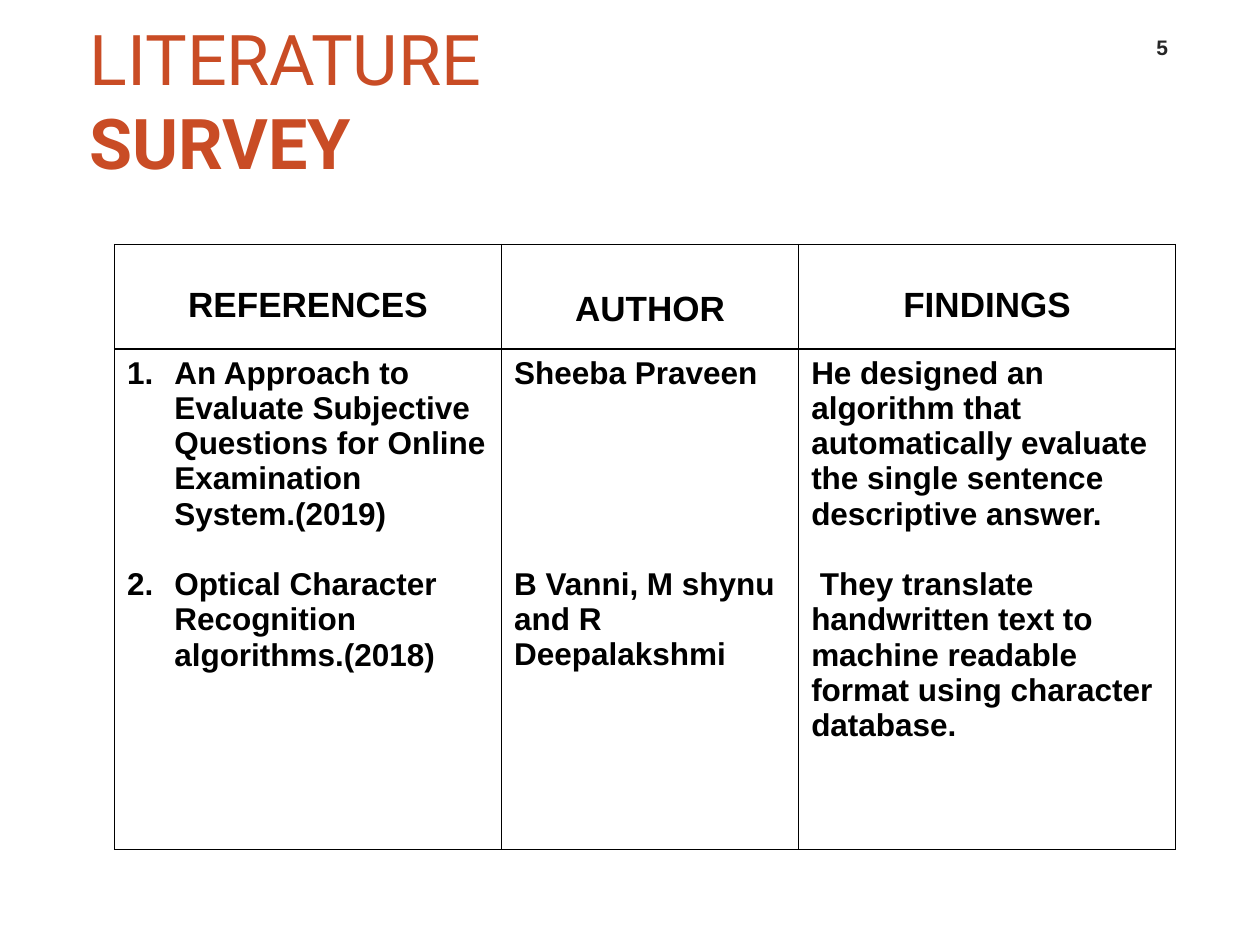
from lxml.etree import SubElement
from pptx import Presentation
from pptx.dml.color import RGBColor as RGB
from pptx.enum.text import MSO_ANCHOR as Anchor, PP_ALIGN as Align
from pptx.oxml.ns import qn
from pptx.util import Cm, Pt

# Content: each body cell holds one entry per surveyed paper
TITLE = [("LITERATURE", False), (" SURVEY", True)]
PAGE = "5"
HEADERS = ["REFERENCES", "AUTHOR", "FINDINGS"]
BODY = [
    ["An Approach to Evaluate Subjective Questions for Online Examination System.(2019)",
     "Optical Character Recognition algorithms.(2018)"],
    ["Sheeba Praveen", "B Vanni, M shynu and R Deepalakshmi"],
    ["He designed an algorithm that automatically evaluate the single sentence descriptive answer.",
     " They translate handwritten text to machine readable format using character database."],
]


class Theme:
    accent, ink, grey, paper = (RGB.from_string(c) for c in ("C94C25", "000000", "262626", "FFFFFF"))
    title_font, font = "Roboto", "Arial"
    title, header, body, page = 40, 20, 18, 12
    line = 20.1  # height of one body line, points
    border = 1


# Layout
COL_WIDTHS = [Cm(7.8), Cm(5.99), Cm(7.6)]
ROW_HEIGHTS = [Cm(2.11), Cm(10.08)]
HEADER_TOPS = [Cm(0.84), Cm(0.91), Cm(0.84)]
GAP_LINES = [1, 5, 1]  # lines left open between the two papers
INDENT = Cm(0.95)


def add_text(p, text, size=Theme.body, font=Theme.font, color=Theme.ink,
             bold=True, align=Align.LEFT, before=0):
    p.alignment = align
    p.space_before = Pt(before)
    r = p.add_run()
    r.text = text
    r.font.size, r.font.name, r.font.bold = Pt(size), font, bold
    r.font.color.rgb = color


def add_box(slide, left, top, width, height, anchor):
    tf = slide.shapes.add_textbox(Cm(left), Cm(top), Cm(width), Cm(height)).text_frame
    tf.word_wrap = True
    tf.vertical_anchor = anchor
    return tf


def number(p):
    pPr = p._p.get_or_add_pPr()
    pPr.set("marL", str(INDENT))
    pPr.set("indent", str(-INDENT))
    SubElement(pPr, qn("a:buFont"), typeface="+mj-lt")
    SubElement(pPr, qn("a:buAutoNum"), type="arabicPeriod")


def style_cell(cell):
    tcPr = cell._tc.get_or_add_tcPr()
    for side in "LRTB":
        ln = SubElement(tcPr, qn(f"a:ln{side}"), w=str(Pt(Theme.border)))
        fill = SubElement(ln, qn("a:solidFill"))
        SubElement(fill, qn("a:srgbClr"), val=str(Theme.ink))
    cell.fill.solid()
    cell.fill.fore_color.rgb = Theme.paper


prs = Presentation()
prs.slide_width, prs.slide_height = Cm(25.4), Cm(19.05)
s = prs.slides.add_slide(prs.slide_layouts[6])

# Title
tf = add_box(s, 1.3, 1.07, 13.61, 1.88, Anchor.MIDDLE)
tf.margin_left = tf.margin_right = 0
p = tf.paragraphs[0]
p._p.get_or_add_pPr().set("marL", str(Cm(0.51)))
for text, bold in TITLE:
    add_text(p, text, size=Theme.title, font=Theme.title_font, color=Theme.accent, bold=bold)

# Page number
tf = add_box(s, 22.73, 0.48, 1.4, 0.84, Anchor.BOTTOM)
add_text(tf.paragraphs[0], PAGE, size=Theme.page, color=Theme.grey, align=Align.CENTER)

# Survey table
table = s.shapes.add_table(2, len(HEADERS), Cm(2.31), Cm(4.93),
                           sum(COL_WIDTHS), sum(ROW_HEIGHTS)).table
table.horz_banding = False
for row, height in zip(table.rows, ROW_HEIGHTS):
    row.height = height

for i, (header, entries) in enumerate(zip(HEADERS, BODY)):
    table.columns[i].width = COL_WIDTHS[i]
    head, body = table.cell(0, i), table.cell(1, i)
    style_cell(head)
    style_cell(body)
    head.margin_top = HEADER_TOPS[i]
    add_text(head.text_frame.paragraphs[0], header, size=Theme.header, align=Align.CENTER)
    tf = body.text_frame
    for j, entry in enumerate(entries):
        p = tf.add_paragraph() if j else tf.paragraphs[0]
        add_text(p, entry, before=GAP_LINES[i] * Theme.line if j else 0)
        if i == 0:
            number(p)

prs.save("out.pptx")
